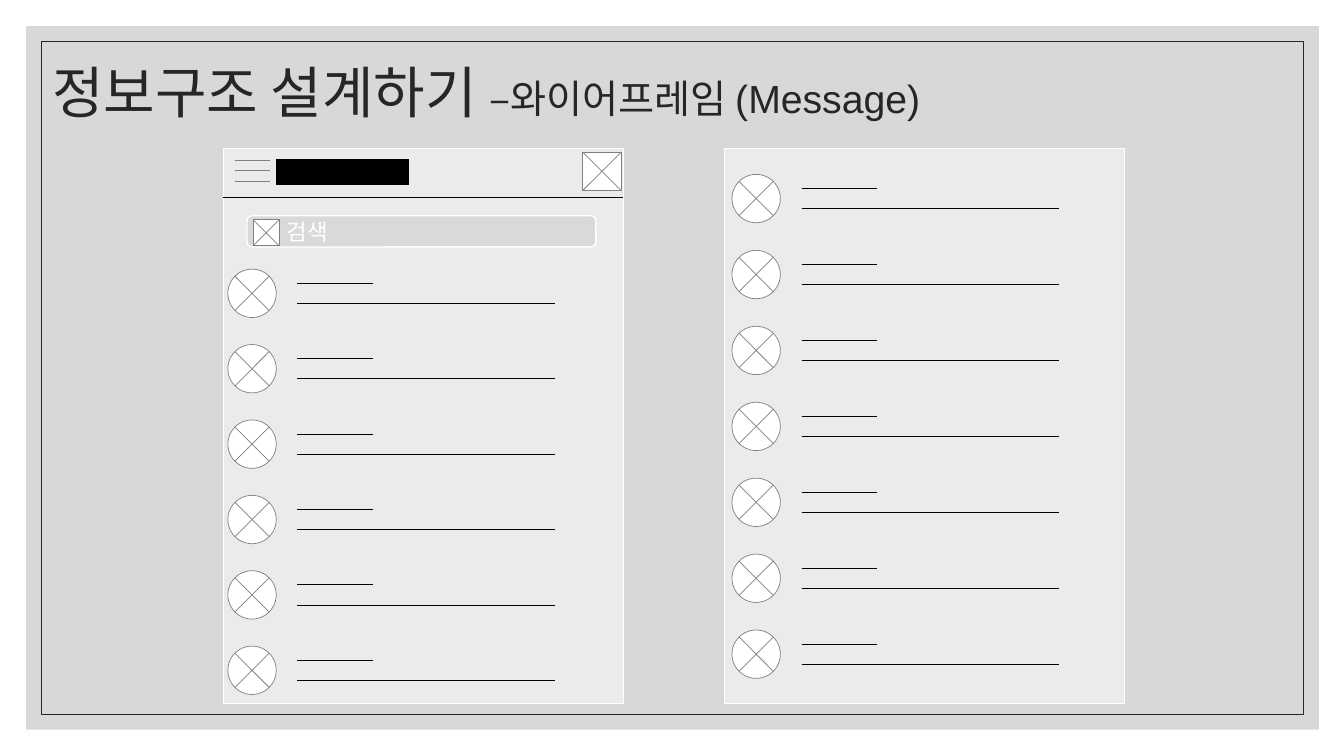
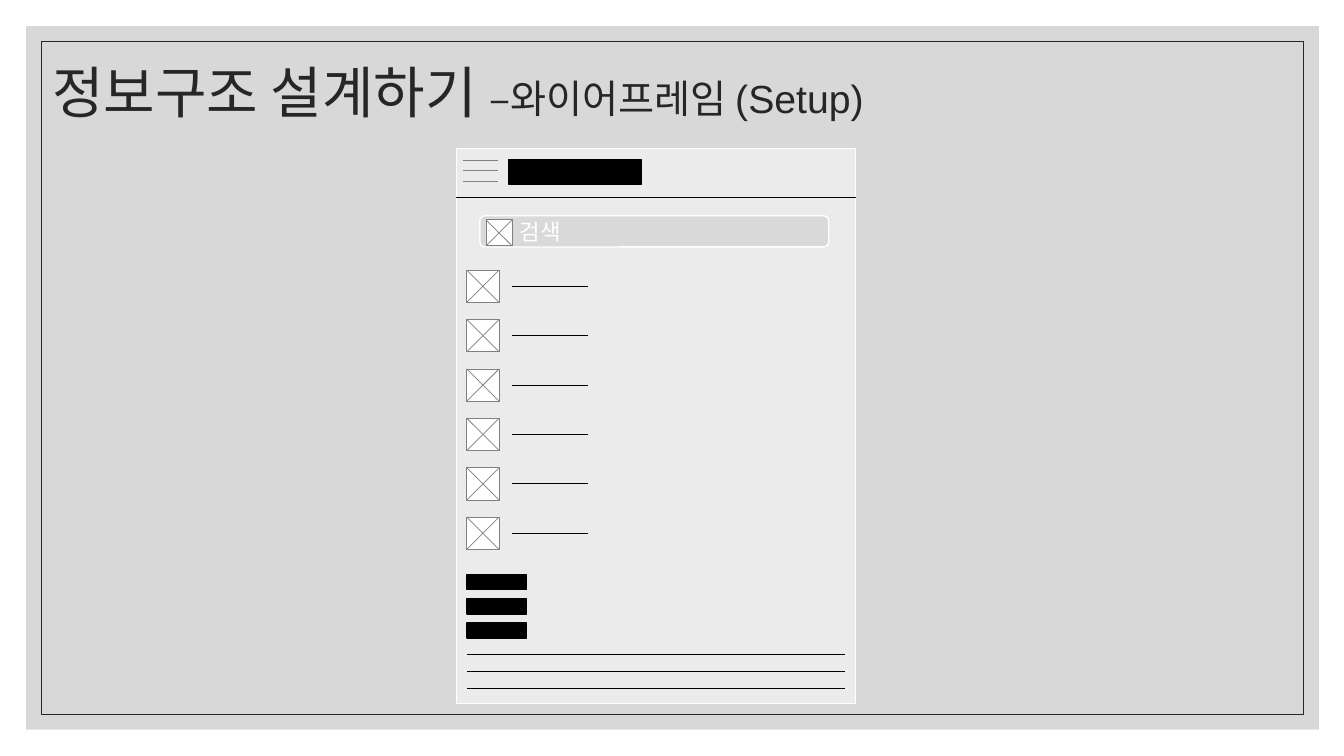
from lxml import etree
from pptx import Presentation
from pptx.dml.color import RGBColor
from pptx.enum import shapes as sh, text as tx
from pptx.oxml.ns import qn
from pptx.util import Inches, Pt

BAND = RGBColor(0xBF, 0xBF, 0xBF)
DARK = RGBColor(0x26, 0x26, 0x26)
FIELD = RGBColor(0xD9, 0xD9, 0xD9)
GRAY = RGBColor(0x80, 0x80, 0x80)
WHITE = RGBColor(0xFF, 0xFF, 0xFF)
BLACK = RGBColor(0, 0, 0)

RECT = sh.MSO_SHAPE.RECTANGLE
OVAL = sh.MSO_SHAPE.OVAL
ROUND = sh.MSO_SHAPE.ROUNDED_RECTANGLE

TOP, WIDE, HIGH = 1.47, 3.96, 5.51


def style(item, formats):
    for name, value in formats.items():
        setattr(item, name, value)


def spread(first, last, count):
    """Equally spaced positions from first to last."""
    return [first + i * (last - first) / (count - 1) for i in range(count)]


def add_box(parent, kind, x, y, w, h, fill=None, line=None, width=0.5, alpha=None):
    box = parent.shapes.add_shape(kind, Inches(x), Inches(y), Inches(w), Inches(h))
    box.shadow.inherit = False
    if fill is None:
        box.fill.background()
    else:
        box.fill.solid()
        box.fill.fore_color.rgb = fill
    if alpha:
        color = box.element.spPr.find(qn("a:solidFill"))[0]
        etree.SubElement(color, qn("a:alpha"), val=str(alpha * 1000))
    if line is None:
        box.line.fill.background()
    else:
        box.line.color.rgb = line
        box.line.width = Pt(width)
    return box


def add_line(parent, x1, y1, x2, y2, color=BLACK):
    line = parent.shapes.add_connector(
        sh.MSO_CONNECTOR.STRAIGHT, Inches(x1), Inches(y1), Inches(x2), Inches(y2))
    line.line.color.rgb = color
    line.line.width = Pt(0.5)
    etree.SubElement(line.element.spPr, qn("a:effectLst"))


def add_icon(parent, x, y, size, kind=RECT, inset=0):
    """Crossed-out square or circle that stands for an image."""
    add_box(parent, kind, x, y, size, size, WHITE, GRAY)
    left, right = x + inset, x + size - inset
    top, foot = y + inset, y + size - inset
    add_line(parent, left, top, right, foot, GRAY)
    add_line(parent, left, foot, right, top, GRAY)


def add_bar(slide, x, y, w, h):
    add_box(slide, RECT, x, y, w, h, BLACK, BLACK, 1)


def add_panel(slide, x):
    add_box(slide, RECT, x, TOP, WIDE, HIGH, WHITE, WHITE, 0.75, 50)


def add_head(slide, x, menu):
    """Menu, name bar, rule and search field of a screen at x."""
    group = slide.shapes.add_group_shape()
    for y in spread(1.59, 1.8, 3):
        add_line(group, menu, y, menu + 0.35, y, GRAY)
    add_bar(slide, x + 0.52, 1.58, 1.31, 0.25)
    add_line(slide, x - 0.01, 1.96, x + WIDE, 1.96)
    field = add_box(slide, ROUND, x + 0.23, 2.14, 3.46, 0.31, FIELD, WHITE, 1)
    frame = field.text_frame
    style(frame, {"margin_left": Inches(0.38), "margin_top": 0, "margin_bottom": 0,
                  "vertical_anchor": tx.MSO_ANCHOR.MIDDLE})
    para = frame.paragraphs[0]
    para.alignment = tx.PP_ALIGN.LEFT
    run = para.add_run()
    run.text = "검색"
    style(run.font, {"name": "Quicksand", "size": Pt(16)})
    run.font.color.rgb = WHITE
    add_icon(slide.shapes.add_group_shape(), x + 0.29, 2.18, 0.26)


def add_chats(slide, x, rows):
    for y in rows:
        group = slide.shapes.add_group_shape()
        add_icon(group, x, y, 0.48, OVAL, 0.07)
        start = x + 0.69
        add_line(group, start, y + 0.14, start + 0.75, y + 0.14)
        add_line(group, start, y + 0.34, start + 2.55, y + 0.34)


def add_items(slide, x, rows):
    for y in rows:
        group = slide.shapes.add_group_shape()
        add_icon(group, x, y, 0.32)
        add_line(group, x + 0.45, y + 0.16, x + 1.2, y + 0.16)


def add_frame(deck, layout):
    """Put the gray band and thin border on the layout."""
    slide = deck.slides[0]
    parts = [add_box(slide, RECT, 0.26, 0.26, 12.82, 6.98, BAND, alpha=60),
             add_box(slide, RECT, 0.41, 0.41, 12.52, 6.68, line=DARK)]
    for spot, part in enumerate(parts, 2):
        layout.shapes.element.insert(spot, part.element)


def add_slide(deck, layout, name):
    slide = deck.slides.add_slide(layout)
    title = slide.shapes.title
    style(title, {"left": Inches(0.42), "top": Inches(0.42),
                  "width": Inches(11), "height": Inches(1.05)})
    style(title.text_frame, {"word_wrap": True, "auto_size": tx.MSO_AUTO_SIZE.NONE,
                             "vertical_anchor": tx.MSO_ANCHOR.MIDDLE})
    para = title.text_frame.paragraphs[0]
    style(para, {"alignment": tx.PP_ALIGN.LEFT, "line_spacing": 0.9})
    for words, size in (("정보구조 설계하기 ", 40), (f"–와이어프레임 ({name})", 28)):
        run = para.add_run()
        run.text = words
        style(run.font, {"name": "Arial", "size": Pt(size)})
        run.font.color.rgb = DARK
    return slide


def fill_message(slide):
    left, right = 2.22, 7.19
    add_panel(slide, left)
    add_head(slide, left, 2.33)
    add_icon(slide.shapes.add_group_shape(), 5.78, 1.51, 0.38)
    add_chats(slide, 2.26, spread(2.67, 6.41, 6))
    add_panel(slide, right)
    add_chats(slide, 7.26, spread(1.73, 6.25, 7))


def fill_setup(slide):
    left, inner = 4.53, 4.63
    add_panel(slide, left)
    add_head(slide, left, 4.59)
    add_items(slide, inner, spread(2.68, 5.13, 6))
    for y in spread(5.7, 6.18, 3):
        add_bar(slide, inner, y, 0.59, 0.15)
    for y in spread(6.49, 6.83, 3):
        add_line(slide, inner, y, 8.38, y)


def main():
    deck = Presentation()
    style(deck, {"slide_width": Inches(13.33), "slide_height": Inches(7.5)})
    layout = deck.slide_layouts.get_by_name("Title Only")
    message = add_slide(deck, layout, "Message")
    add_frame(deck, layout)
    fill_message(message)
    fill_setup(add_slide(deck, layout, "Setup"))
    deck.save("out.pptx")


if __name__ == "__main__":
    main()
